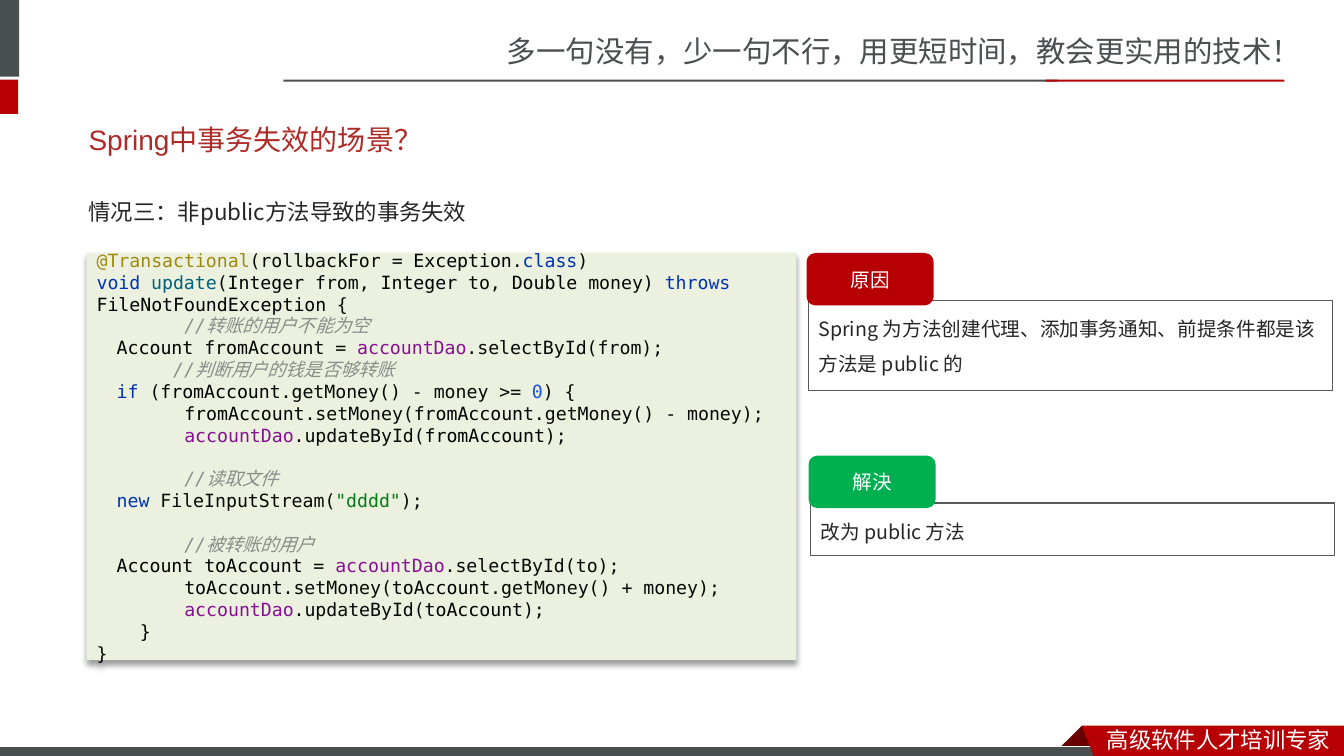
from lxml import etree
from pptx import Presentation
from pptx import util as u
from pptx.dml.color import RGBColor
from pptx.enum import shapes, text
from pptx.oxml import ns

SLATE = RGBColor(0x49, 0x50, 0x4F)
RED = RGBColor(0xB6, 0x00, 0x04)
DARK_RED = RGBColor(0x68, 0x00, 0x00)
TITLE_RED = RGBColor(0xAD, 0x2A, 0x26)
GREEN = RGBColor(0x00, 0xB0, 0x50)
WHITE = RGBColor(0xFF, 0xFF, 0xFF)
BODY = RGBColor(0x26, 0x26, 0x26)
BORDER = RGBColor(0x59, 0x59, 0x59)
CODE_FILL = RGBColor(0xEB, 0xF1, 0xDE)

PLAIN = RGBColor(0x08, 0x08, 0x08)
TYPE = RGBColor(0x00, 0x00, 0x00)
KEYWORD = RGBColor(0x00, 0x33, 0xB3)
ANNOTATION = RGBColor(0x9E, 0x88, 0x0D)
METHOD = RGBColor(0x00, 0x62, 0x7A)
COMMENT = RGBColor(0x8C, 0x8C, 0x8C)
FIELD = RGBColor(0x87, 0x10, 0x94)
NUMBER = RGBColor(0x17, 0x50, 0xEB)
STRING = RGBColor(0x06, 0x7D, 0x17)

SANS, SANS_JP = "Noto Sans CJK SC", "Noto Sans CJK JP"
MONO, ARIAL = "DejaVu Sans Mono", "Arial"
CODE_SIZE, CODE_PITCH = 13, 15.6

# Each line: indent in inches, blank lines before it, coloured spans
CODE = [
    (0, 0, [("@Transactional", ANNOTATION), ("(rollbackFor = ", PLAIN), ("Exception", TYPE),
            (".", PLAIN), ("class", KEYWORD), (")", PLAIN)]),
    (0, 0, [("void ", KEYWORD), ("update", METHOD), ("(", PLAIN), ("Integer ", TYPE),
            ("from, ", PLAIN), ("Integer ", TYPE), ("to, ", PLAIN), ("Double ", TYPE),
            ("money) ", PLAIN), ("throws ", KEYWORD), ("FileNotFoundException ", TYPE),
            ("{", PLAIN)]),
    (0.87, 0, [("//", COMMENT), ("转账的用户不能为空", COMMENT)]),
    (0.2, 0, [("Account fromAccount ", TYPE), ("= ", PLAIN), ("accountDao", FIELD),
              (".selectById(from);", PLAIN)]),
    (0.76, 0, [("//", COMMENT), ("判断用户的钱是否够转账", COMMENT)]),
    (0.2, 0, [("if ", KEYWORD), ("(", PLAIN), ("fromAccount", TYPE),
              (".getMoney() - money >= ", PLAIN), ("0", NUMBER), (") {", PLAIN)]),
    (0.87, 0, [("fromAccount", TYPE), (".setMoney(", PLAIN), ("fromAccount", TYPE),
               (".getMoney() - money);", PLAIN)]),
    (0.87, 0, [("accountDao", FIELD), (".updateById(", PLAIN), ("fromAccount", TYPE),
               (");", PLAIN)]),
    (0.87, 1, [("//", COMMENT), ("读取文件", COMMENT)]),
    (0.2, 0, [("new ", KEYWORD), ("FileInputStream(", PLAIN), ('"dddd"', STRING), (");", PLAIN)]),
    (0.87, 1, [("//", COMMENT), ("被转账的用户", COMMENT)]),
    (0.2, 0, [("Account toAccount ", TYPE), ("= ", PLAIN), ("accountDao", FIELD),
              (".selectById(to);", PLAIN)]),
    (0.87, 0, [("toAccount", TYPE), (".setMoney(", PLAIN), ("toAccount", TYPE),
               (".getMoney() + money);", PLAIN)]),
    (0.87, 0, [("accountDao", FIELD), (".updateById(", PLAIN), ("toAccount", TYPE),
               (");", PLAIN)]),
    (0.43, 0, [("}", PLAIN)]),
    (0, 0, [("}", PLAIN)]),
]


class SlideBuilder:
    def __init__(self, page):
        self.page = page

    def style_font(self, span, size, colour, latin, asian):
        span.font.size = u.Pt(size)
        span.font.color.rgb = colour
        span.font.name = latin
        east = etree.SubElement(span.font._element, ns.qn("a:ea"))
        east.set("typeface", asian)
        span.font._element.find(ns.qn("a:latin")).addnext(east)

    def fill_text(self, box, words, size, colour, latin=SANS, asian=SANS, spacing=None,
                  anchor=text.MSO_ANCHOR.TOP, align=text.PP_ALIGN.LEFT):
        frame = box.text_frame
        frame.word_wrap = True
        frame.vertical_anchor = anchor
        frame.text = words
        para = frame.paragraphs[0]
        para.alignment = align
        if spacing:
            para.line_spacing = spacing
            para.space_before = u.Pt(size * 0.2)
        self.style_font(para.runs[0], size, colour, latin, asian)

    def label(self, bounds, words, size, colour, **style):
        box = self.page.shapes.add_textbox(*map(u.Inches, bounds))
        self.fill_text(box, words, size, colour, **style)

    def paint(self, shape, fill=None, line=None):
        shape.shadow.inherit = False
        if fill is None:
            shape.fill.background()
        else:
            shape.fill.solid()
            shape.fill.fore_color.rgb = fill
        if line is None:
            shape.line.fill.background()
        else:
            shape.line.color.rgb = line
            shape.line.width = u.Pt(0.75)
        return shape

    def block(self, bounds, fill=None, line=None, kind=shapes.MSO_SHAPE.RECTANGLE):
        shape = self.page.shapes.add_shape(kind, *map(u.Inches, bounds))
        return self.paint(shape, fill, line)

    def polygon(self, points, fill):
        corners = [(u.Inches(x), u.Inches(y)) for x, y in points]
        builder = self.page.shapes.build_freeform(*corners[0])
        builder.add_line_segments(corners[1:], close=True)
        self.paint(builder.convert_to_shape(), fill)

    def card(self, left, top, height, heading, accent, words):
        """Draw a framed note with a coloured tab above its left corner."""
        frame = self.block((left + 0.02, top + 0.47, 5.2, height), line=BORDER)
        self.fill_text(frame, words, 14, BODY, SANS_JP, SANS_JP, spacing=1.5)
        tab = self.block((left, top, 1.26, 0.52), accent,
                         kind=shapes.MSO_SHAPE.ROUNDED_RECTANGLE)
        self.fill_text(tab, heading, 14, WHITE, anchor=text.MSO_ANCHOR.MIDDLE,
                       align=text.PP_ALIGN.CENTER)

    def drop_shadow(self, shape):
        effects = shape._element.spPr.find(ns.qn("a:effectLst"))
        shadow = etree.SubElement(effects, ns.qn("a:outerShdw"), blurRad=str(u.Pt(4)),
                                  dist=str(u.Pt(3)), dir="5400000", rotWithShape="0")
        tint = etree.SubElement(shadow, ns.qn("a:srgbClr"), val="000000")
        etree.SubElement(tint, ns.qn("a:alpha"), val="40000")

    def code(self, bounds, lines):
        box = self.block(bounds, CODE_FILL)
        self.drop_shadow(box)
        frame = box.text_frame
        frame.word_wrap = True
        frame.vertical_anchor = text.MSO_ANCHOR.MIDDLE
        for number, (indent, blanks, spans) in enumerate(lines):
            para = frame.add_paragraph() if number else frame.paragraphs[0]
            para.alignment = text.PP_ALIGN.LEFT
            para.line_spacing = u.Pt(CODE_PITCH)
            para.space_before = u.Pt(CODE_PITCH * blanks)
            para._p.get_or_add_pPr().set("marL", str(u.Inches(indent)))
            for words, colour in spans:
                span = para.add_run()
                span.text = words
                self.style_font(span, CODE_SIZE, colour, MONO, SANS)
                span.font.italic = colour == COMMENT


def main():
    deck = Presentation()
    deck.slide_width, deck.slide_height = u.Inches(13.33), u.Inches(7.5)
    slide = SlideBuilder(deck.slides.add_slide(deck.slide_layouts[6]))

    slide.label((4.93, 0.28, 8.41, 0.47), "多一句没有，少一句不行，用更短时间，教会更实用的技术！", 21, SLATE)
    slide.block((-0.06, 0, 0.25, 0.76), SLATE)
    slide.block((-0.06, 0.79, 0.24, 0.34), RED)
    slide.block((2.81, 0.79, 7.68, 0.02), SLATE)
    slide.block((10.37, 0.79, 2.37, 0.02), RED)

    slide.polygon([(10.73, 7.2), (10.95, 7.42), (10.94, 7.43), (10.52, 7.43), (10.51, 7.42)],
                  DARK_RED)
    slide.block((-0.01, 7.41, 11, 0.12), SLATE, WHITE)
    slide.polygon([(10.73, 7.2), (13.33, 7.2), (13.33, 7.54), (10.86, 7.53)], RED)
    slide.label((10.88, 7.15, 2.45, 0.37), "高级软件人才培训专家", 16, WHITE)

    slide.label((0.78, 1.1, 11.7, 0.57), "Spring中事务失效的场景？", 20, TITLE_RED, latin=ARIAL,
                anchor=text.MSO_ANCHOR.MIDDLE)
    slide.label((0.78, 1.78, 11.7, 1.2), "情况三：非public方法导致的事务失效", 16, BODY,
                latin=SANS_JP, asian=SANS_JP, spacing=1.5)

    slide.card(8, 2.51, 0.89, "原因", RED,
               "Spring 为方法创建代理、添加事务通知、前提条件都是该方法是 public 的")
    slide.card(8.02, 4.52, 0.52, "解決", GREEN, "改为 public 方法")
    slide.code((0.86, 2.51, 7.04, 4.04), CODE)

    deck.save("out.pptx")


if __name__ == "__main__":
    main()
